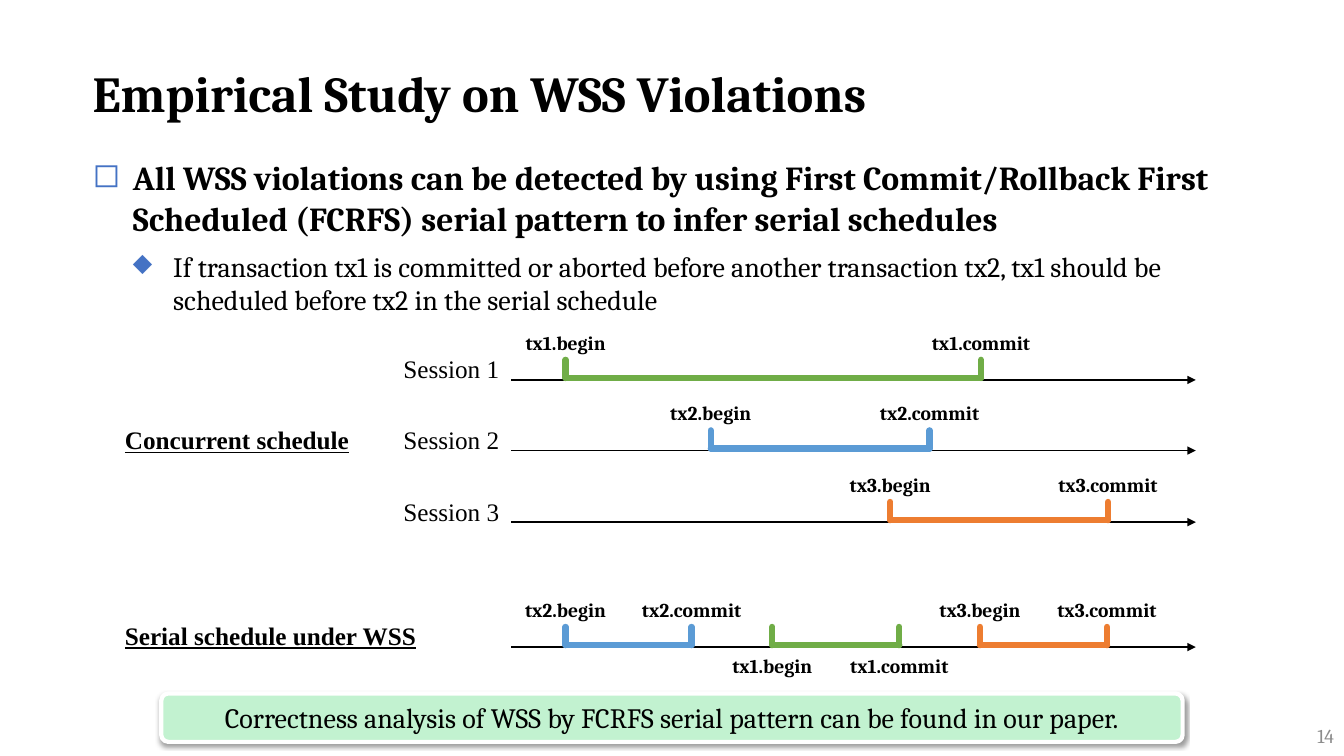
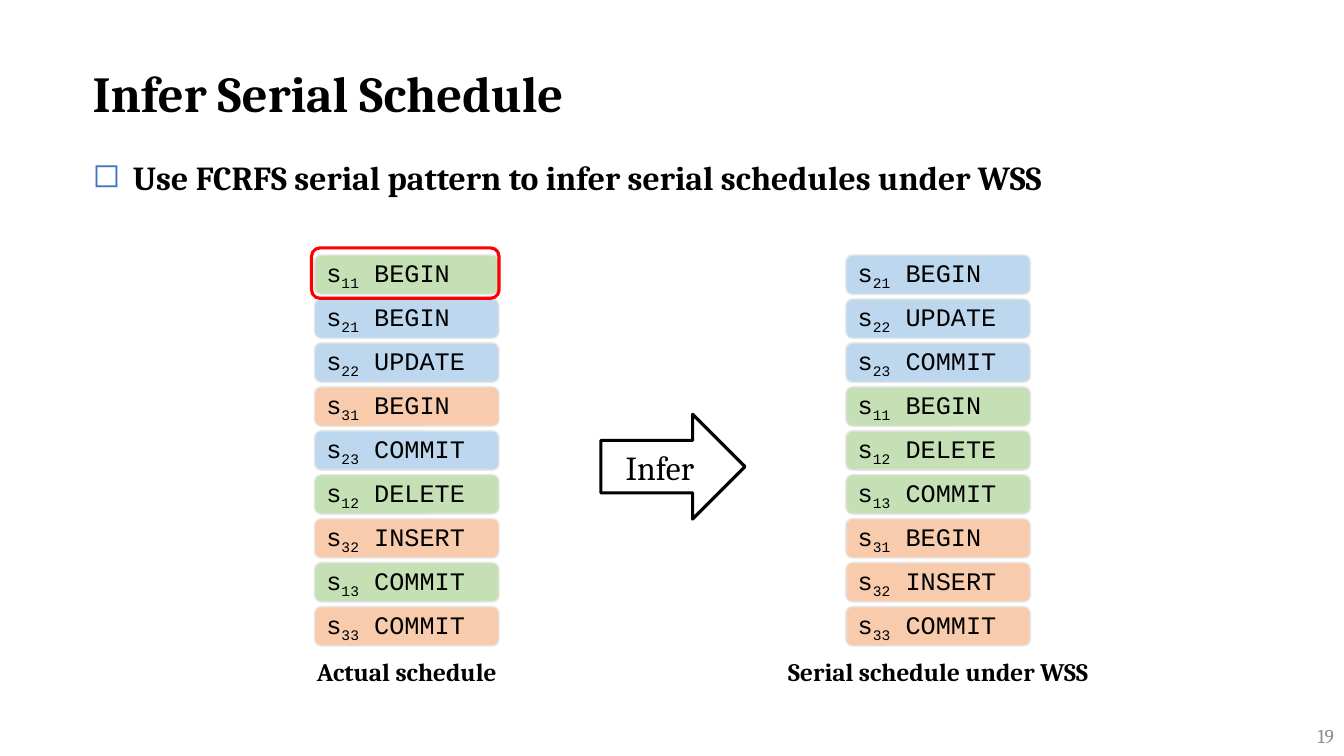
from lxml import etree
from pptx import Presentation
from pptx.dml.color import RGBColor
from pptx.enum.shapes import MSO_CONNECTOR, MSO_SHAPE
from pptx.enum.text import MSO_ANCHOR, PP_ALIGN
from pptx.oxml.ns import qn
from pptx.util import Inches, Pt

LEFT, CENTER, RIGHT = PP_ALIGN.LEFT, PP_ALIGN.CENTER, PP_ALIGN.RIGHT
MIDDLE, BOTTOM = MSO_ANCHOR.MIDDLE, MSO_ANCHOR.BOTTOM
STRAIGHT = MSO_CONNECTOR.STRAIGHT
ROUNDED, ARROW = MSO_SHAPE.ROUNDED_RECTANGLE, MSO_SHAPE.RIGHT_ARROW

SERIF, TIMES, MONO = "Cambria", "Times New Roman", "Courier New"

BLACK = RGBColor(0x00, 0x00, 0x00)
WHITE = RGBColor(0xFF, 0xFF, 0xFF)
GREY = RGBColor(0x8C, 0x8C, 0x8C)
PALE_GREY = RGBColor(0xE7, 0xE6, 0xE6)
RED = RGBColor(0xFF, 0x00, 0x00)
MINT = RGBColor(0xC2, 0xF2, 0xD0)
GREEN = RGBColor(0x70, 0xAD, 0x47)
BLUE = RGBColor(0x5B, 0x9B, 0xD5)
ORANGE = RGBColor(0xED, 0x7D, 0x31)
BULLET_COLOR = "4472C4"
TX_COLORS = {"1": GREEN, "2": BLUE, "3": ORANGE}
TX_FILLS = {
    "1": RGBColor(0xC5, 0xE0, 0xB4),
    "2": RGBColor(0xBD, 0xD7, 0xEE),
    "3": RGBColor(0xF8, 0xCB, 0xAD),
}


def write(sp, parts, size, font=SERIF, bold=False, align=LEFT, color=BLACK,
          anchor=None, underline=None):
    """Fill the last paragraph of sp; parts are (text, is_subscript) pairs or one string."""
    tf = sp.text_frame
    tf.word_wrap = True
    if anchor is not None:
        tf.vertical_anchor = anchor
    p = tf.paragraphs[-1]
    p.alignment = align
    if isinstance(parts, str):
        parts = [(parts, False)]
    for text, subscript in parts:
        r = p.add_run()
        r.text = text
        r.font.name, r.font.size, r.font.bold = font, Pt(size), bold
        r.font.underline = underline
        r.font.color.rgb = color
        if subscript:
            r.font._element.set("baseline", "-25000")
    return p


def add_line(slide, x1, y1, x2, y2, color, width, arrow=False):
    sp = slide.shapes.add_connector(STRAIGHT, *map(Inches, (x1, y1, x2, y2)))
    sp.line.color.rgb = color
    sp.line.width = Pt(width)
    ln = sp.line._ln
    if arrow:
        etree.SubElement(ln, qn("a:tailEnd"), type="triangle")
    else:
        ln.set("cap", "rnd")
    etree.SubElement(sp._element.spPr, qn("a:effectLst"))


prs = Presentation()
prs.slide_width, prs.slide_height = Inches(13.33), Inches(7.5)

# Shared frame: title, bullets, page number
# Bullet levels: symbol, symbol size, text size, bold, left margin, space before
LEVELS = [("◻", "100000", 24, True, 0.4, 16), ("◆", "90000", 20, False, 0.8, 8)]
PAGES = [
    ("Empirical Study on WSS Violations", "14", 1.69, [
        "All WSS violations can be detected by using First Commit/Rollback First "
        "Scheduled (FCRFS) serial pattern to infer serial schedules",
        "If transaction tx1 is committed or aborted before another transaction tx2, "
        "tx1 should be scheduled before tx2 in the serial schedule",
    ]),
    ("Infer Serial Schedule", "19", 0.5, [
        "Use FCRFS serial pattern to infer serial schedules under WSS",
    ]),
]
slides = []
for title, number, body_height, bullets in PAGES:
    slide = prs.slides.add_slide(prs.slide_layouts[6])
    slides.append(slide)
    sp = slide.shapes.add_textbox(*map(Inches, (0.82, 0.34, 11.84, 0.93)))
    p = write(sp, title, 36, bold=True, anchor=BOTTOM)
    p.line_spacing = Pt(46.7)

    body = slide.shapes.add_textbox(*map(Inches, (0.82, 1.51, 11.84, body_height)))
    for level, text in enumerate(bullets):
        symbol, symbol_size, size, bold, margin, before = LEVELS[level]
        if level:
            body.text_frame.add_paragraph()
        p = write(body, text, size, bold=bold)
        p.level = level
        p.space_before = Pt(before)
        pPr = p._p.get_or_add_pPr()
        pPr.set("marL", str(Inches(margin)))
        pPr.set("indent", str(Inches(-0.4)))
        bu_color = etree.SubElement(pPr, qn("a:buClr"))
        etree.SubElement(bu_color, qn("a:srgbClr"), val=BULLET_COLOR)
        etree.SubElement(pPr, qn("a:buSzPct"), val=symbol_size)
        etree.SubElement(pPr, qn("a:buChar"), char=symbol)

    sp = slide.shapes.add_textbox(*map(Inches, (10.33, 7.1, 3, 0.4)))
    write(sp, number, 14, align=RIGHT, color=GREY, anchor=MIDDLE)

study, infer = slides

# Timelines of the concurrent and the serial schedule
for text, top, width in [("Concurrent schedule", 4.16, 2.46),
                         ("Serial schedule under WSS", 6.1, 3.18)]:
    sp = study.shapes.add_textbox(*map(Inches, (1.14, top, width, 0.4)))
    write(sp, text, 18, TIMES, bold=True, underline=True)

# Axis height, session name, transactions as (number, begin, commit, label offset)
ABOVE, BELOW = -0.54, 0.02
TIMELINES = [
    (3.77, "Session 1", [("1", 5.61, 9.73, ABOVE)]),
    (4.47, "Session 2", [("2", 7.05, 9.22, ABOVE)]),
    (5.18, "Session 3", [("3", 8.83, 10.99, ABOVE)]),
    (6.42, None, [("2", 5.61, 6.86, ABOVE), ("1", 7.66, 8.92, BELOW),
                  ("3", 9.72, 10.98, ABOVE)]),
]
LABEL_WIDTH = 1.28
for axis, session, transactions in TIMELINES:
    add_line(study, 5.07, axis, 11.86, axis, BLACK, 1, arrow=True)
    if session:
        sp = study.shapes.add_textbox(*map(Inches, (3.77, axis - 0.31, 1.28, 0.4)))
        write(sp, session, 18, TIMES, align=RIGHT)
    for tx, begin, commit, offset in transactions:
        base = axis - 0.02
        add_line(study, begin, base, commit, base, TX_COLORS[tx], 4.5)
        for x, event in [(begin, "begin"), (commit, "commit")]:
            add_line(study, x, base - 0.18, x, base, TX_COLORS[tx], 4.5)
            box = (x - LABEL_WIDTH / 2, axis + offset, LABEL_WIDTH, 0.34)
            sp = study.shapes.add_textbox(*map(Inches, box))
            write(sp, f"tx{tx}.{event}", 14, bold=True, align=CENTER)

banner = study.shapes.add_shape(ROUNDED, *map(Inches, (1.6, 6.88, 10.13, 0.48)))
banner.adjustments[0] = 0.146
banner.fill.solid()
banner.fill.fore_color.rgb = MINT
banner.line.color.rgb = WHITE
banner.line.width = Pt(3)
banner.shadow.inherit = False
effects = banner._element.spPr.find(qn("a:effectLst"))
shadow = etree.SubElement(effects, qn("a:outerShdw"), blurRad=str(Pt(3.1)),
                          dist=str(Pt(1.6)), dir="5400000", rotWithShape="0")
shadow_color = etree.SubElement(shadow, qn("a:srgbClr"), val="000000")
etree.SubElement(shadow_color, qn("a:alpha"), val="38000")
write(banner, "Correctness analysis of WSS by FCRFS serial pattern can be found in our paper.",
      20, align=CENTER, anchor=MIDDLE)

# Statement stacks
STATEMENTS = {
    "11": "BEGIN", "12": "DELETE", "13": "COMMIT",
    "21": "BEGIN", "22": "UPDATE", "23": "COMMIT",
    "31": "BEGIN", "32": "INSERT", "33": "COMMIT",
}
STACKS = [
    ("Actual schedule", 3.12, ["11", "21", "22", "31", "23", "12", "32", "13", "33"]),
    ("Serial schedule under WSS", 8.39,
     ["21", "22", "23", "11", "12", "13", "31", "32", "33"]),
]
CARD_WIDTH, CARD_HEIGHT, CARD_TOP, CARD_STEP = 1.83, 0.39, 2.53, 0.436
CAPTION_WIDTH = 3.25
for caption, left, order in STACKS:
    for row, key in enumerate(order):
        box = (left, CARD_TOP + row * CARD_STEP, CARD_WIDTH, CARD_HEIGHT)
        card = infer.shapes.add_shape(ROUNDED, *map(Inches, box))
        card.shadow.inherit = False
        card.fill.solid()
        card.fill.fore_color.rgb = TX_FILLS[key[0]]
        card.line.color.rgb = PALE_GREY
        card.line.width = Pt(1)
        write(card, [("s", False), (key, True), (" " + STATEMENTS[key], False)],
              18, MONO, anchor=MIDDLE)
    box = (left + (CARD_WIDTH - CAPTION_WIDTH) / 2, 6.46, CAPTION_WIDTH, 0.4)
    sp = infer.shapes.add_textbox(*map(Inches, box))
    write(sp, caption, 18, bold=True, align=CENTER)

# Outlined shapes: inference arrow and highlight of the current statement
for kind, box, color, text in [(ARROW, (5.96, 4.11, 1.43, 1.04), BLACK, "Infer"),
                               (ROUNDED, (3.09, 2.46, 1.86, 0.5), RED, None)]:
    sp = infer.shapes.add_shape(kind, *map(Inches, box))
    sp.shadow.inherit = False
    sp.fill.background()
    sp.line.color.rgb = color
    sp.line.width = Pt(2.25)
    if text:
        write(sp, text, 24, align=CENTER, anchor=MIDDLE)

prs.save("out.pptx")
